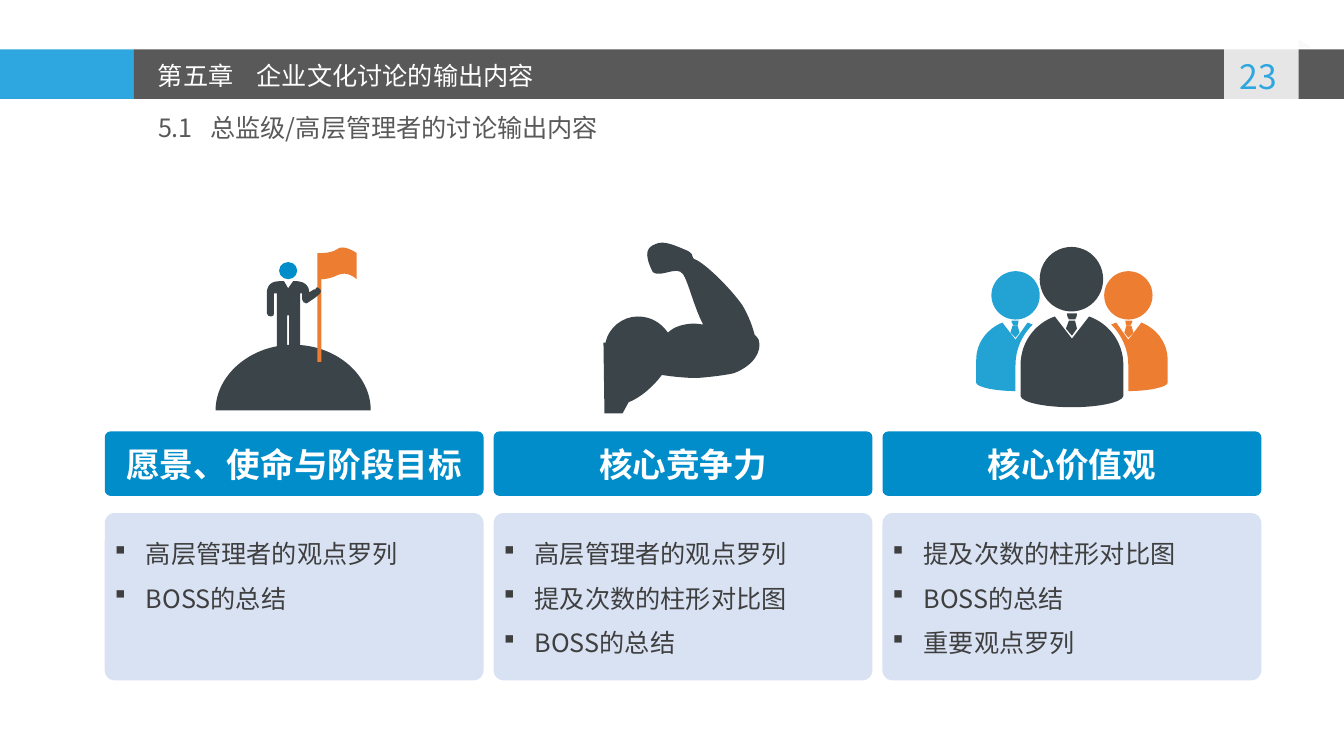
from dataclasses import dataclass

from lxml.etree import SubElement
from pptx import Presentation
from pptx.dml.color import RGBColor
from pptx.enum.shapes import MSO_SHAPE
from pptx.enum.text import MSO_ANCHOR, PP_ALIGN
from pptx.oxml.ns import qn
from pptx.util import Pt

PX = 9144


@dataclass(frozen=True)
class Theme:
    """Colours, font and type sizes of the slide."""
    font: str = "Noto Sans CJK SC"
    sky: str = "2EA7E0"
    blue: str = "008DCA"
    cyan: str = "23A3D4"
    orange: str = "ED7D31"
    slate: str = "3B4449"
    gray: str = "595959"
    ink: str = "3F3F3F"
    panel: str = "D8E2F3"
    mist: str = "F8F8F8"
    white: str = "FFFFFF"
    large: int = 24
    normal: int = 18


THEME = Theme()

HILL = [(77, 100), (35, 100, 0, 130, 0, 165), (154, 165), (154, 130, 120, 100, 77, 100)]
FLAG = [(121, 5), (114, 10, 101, 9, 101, 9), (101, 117), (105, 117), (105, 35),
        (109, 35, 115, 34, 121, 31), (131, 26, 140, 35, 140, 35), (140, 9),
        (140, 9, 127, 0, 121, 5)]
CLIMBER = [(104, 45), (103, 44, 103, 44, 101, 43), (100, 43, 100, 44, 99, 45), (98, 45),
           (93, 48), (93, 47), (92, 37, 81, 37, 81, 37), (77, 37), (72, 44), (68, 37),
           (63, 37), (51, 37, 51, 47, 51, 47), (51, 69), (51, 71, 53, 72, 55, 72),
           (57, 72, 58, 71, 58, 69), (58, 49), (61, 49), (61, 112),
           (61, 115, 63, 117, 66, 117), (69, 117, 71, 115, 71, 112), (71, 71), (73, 71),
           (73, 112), (73, 115, 76, 117, 78, 117), (81, 117, 84, 115, 84, 112), (84, 49),
           (86, 49), (86, 55), (86, 57, 88, 59, 90, 59), (90, 59, 91, 59, 92, 58),
           (98, 54), (103, 50), (105, 49, 105, 46, 104, 45)]
ARM = [(154, 99), (153, 97, 152, 96, 150, 94), (148, 86, 144, 75, 138, 65),
       (127, 49, 100, 22, 90, 19), (90, 18, 90, 18, 89, 18), (89, 15, 87, 13, 84, 11),
       (72, 6, 60, 0, 52, 4), (44, 7, 39, 12, 49, 32), (57, 38, 73, 25, 79, 34),
       (84, 41, 90, 67, 99, 84), (96, 84, 94, 83, 91, 83), (80, 83, 70, 86, 64, 92),
       (57, 82, 47, 76, 34, 76), (19, 76, 5, 87, 2, 102), (0, 102), (1, 172), (19, 172),
       (25, 161), (36, 157, 49, 146, 58, 134), (70, 136, 85, 137, 91, 137),
       (98, 137, 124, 134, 130, 132), (148, 125, 158, 111, 154, 99)]
LEADER = [
    [(112, 69), (95, 91), (78, 69), (58, 76, 44, 95, 44, 117), (44, 148),
     (45, 154, 67, 159, 95, 159), (122, 159, 145, 154, 146, 148), (146, 117),
     (146, 95, 132, 76, 112, 69)],
    [(100, 66), (90, 66), (90, 66, 90, 69, 92, 72), (98, 72), (98, 72, 100, 70, 100, 66)],
    [(92, 73), (98, 73), (100, 81), (95, 88), (89, 81)],
]
COLLEAGUE = [
    [(51, 75), (39, 92), (26, 75), (11, 81, 0, 95, 0, 112), (0, 135),
     (1, 139, 18, 143, 39, 143), (39, 117), (39, 102, 45, 88, 56, 77),
     (54, 76, 53, 76, 51, 75)],
    [(41, 78), (41, 78, 42, 76, 42, 73), (35, 73), (35, 73, 35, 76, 37, 78)],
    [(39, 90), (43, 85), (41, 78), (36, 78), (34, 85)],
]
PEOPLE_WIDTH = 190


def paint(shape, color, opacity=100):
    """Give a shape a plain fill without line or shadow."""
    shape.shadow.inherit = False
    shape.fill.solid()
    shape.fill.fore_color.rgb = RGBColor.from_string(color)
    shape.line.fill.background()
    if opacity < 100:
        color_element = shape.fill._xPr.find(qn("a:solidFill"))[0]
        SubElement(color_element, qn("a:alpha"), val=str(opacity * 1000))
    return shape


def add_block(parent, kind, left, top, width, height, color, opacity=100):
    """Add a filled preset shape to a slide or group."""
    shape = parent.shapes.add_shape(kind, left * PX, top * PX, width * PX, height * PX)
    return paint(shape, color, opacity)


def add_outline(parent, left, top, outline, color, mirror=0, opacity=100):
    """Add a filled freeform of lines and cubic curves, flipped within any mirror width."""
    def place(x, y):
        return (left + (mirror - x if mirror else x)) * PX, (top + y) * PX

    ends = [place(*segment[-2:]) for segment in outline]
    builder = parent.shapes.build_freeform(*ends[0], scale=1.0)
    builder.add_line_segments(ends[1:], close=True)
    shape = builder.convert_to_shape()
    lines = list(shape._element.iter(qn("a:lnTo")))
    for line, segment in zip(lines, outline[1:]):
        if len(segment) == 6:
            line.tag = qn("a:cubicBezTo")
            for order, control in enumerate((segment[:2], segment[2:4])):
                x, y = place(*control)
                point = SubElement(line, qn("a:pt"), x=str(x - shape.left), y=str(y - shape.top))
                line.insert(order, point)
    return paint(shape, color, opacity)


def write(frame, text, size=THEME.normal, color=THEME.ink, bold=False, align=PP_ALIGN.LEFT,
          anchor=MSO_ANCHOR.TOP, bullet=None, tab=None, line_spacing=None, space_before=0):
    """Write each line of text as a formatted paragraph."""
    frame.word_wrap = True
    frame.vertical_anchor = anchor
    for index, line in enumerate(text.split("\n")):
        paragraph = frame.add_paragraph() if index else frame.paragraphs[0]
        paragraph.alignment = align
        properties = paragraph._p.get_or_add_pPr()
        if bullet:
            properties.set("marL", str(31 * PX))
            properties.set("indent", str(-31 * PX))
            bullet_color = SubElement(properties, qn("a:buClr"))
            SubElement(bullet_color, qn("a:srgbClr"), val=color)
            SubElement(properties, qn("a:buFont"), typeface="Wingdings", charset="2")
            SubElement(properties, qn("a:buChar"), char=bullet)
        if tab:
            stops = SubElement(properties, qn("a:tabLst"))
            SubElement(stops, qn("a:tab"), pos=str(tab * PX), algn="l")
        if line_spacing:
            paragraph.line_spacing = line_spacing
        paragraph.space_before = Pt(space_before if index else 0)
        run = paragraph.add_run()
        run.text = line
        run.font.size = Pt(size)
        run.font.bold = bold
        run.font.color.rgb = RGBColor.from_string(color)
        run.font.name = THEME.font
        SubElement(run._r.get_or_add_rPr(), qn("a:ea"), typeface=THEME.font)


def add_label(slide, left, top, width, height, text, **style):
    """Add a text box."""
    box = slide.shapes.add_textbox(left * PX, top * PX, width * PX, height * PX)
    write(box.text_frame, text, **style)


def add_header(slide, left, top, width, height):
    """Draw the chapter band with its page tab and the section title below."""
    accent = 133
    tab_left = left + 1215
    add_block(slide, MSO_SHAPE.RECTANGLE, left, top, accent, height, THEME.sky)
    add_block(slide, MSO_SHAPE.RECTANGLE, left + accent, top, width - accent, height, THEME.gray)
    add_block(slide, MSO_SHAPE.RIGHT_TRIANGLE, tab_left + 74, top - 10, 12, 8, THEME.mist, 83)
    page_tab = [(0, 69), (0, 0), (74, 0), (74, 69), (36, 63)]
    add_outline(slide, tab_left, top - 9, page_tab, THEME.white, opacity=85)
    add_label(slide, tab_left - 3, top + 2, 74, 99, "23", size=THEME.large, color=THEME.sky,
              align=PP_ALIGN.CENTER)
    add_label(slide, left + 147, top + 6, 504, 40, "第五章\t企业文化讨论的输出内容",
              color=THEME.white, tab=98)
    add_label(slide, left + 147, top + 58, 531, 40, "5.1\t总监级/高层管理者的讨论输出内容",
              color=THEME.gray, tab=52)


def add_summit_icon(slide, left, top):
    """Draw a climber with a flag on a hill."""
    group = slide.shapes.add_group_shape()
    for outline, color in ((HILL, THEME.slate), (FLAG, THEME.orange), (CLIMBER, THEME.slate)):
        add_outline(group, left, top, outline, color)
    add_block(group, MSO_SHAPE.OVAL, left + 63, top + 18, 18, 17, THEME.blue)


def add_arm_icon(slide, left, top):
    """Draw a flexed arm."""
    add_outline(slide, left, top, ARM, THEME.slate)


def add_people_icon(slide, left, top):
    """Draw a leader between two mirrored colleagues."""
    group = slide.shapes.add_group_shape()
    people = [(LEADER, (63, 0, 63, 64), THEME.slate, 0),
              (COLLEAGUE, (15, 24, 48, 48), THEME.cyan, 0),
              (COLLEAGUE, (15, 24, 48, 48), THEME.orange, PEOPLE_WIDTH)]
    for outlines, (x, y, width, height), color, mirror in people:
        head_x = mirror - x - width if mirror else x
        add_block(group, MSO_SHAPE.OVAL, left + head_x, top + y, width, height, color)
        for outline in outlines:
            add_outline(group, left, top, outline, color, mirror)


def add_column(slide, left, top, width, heading, points, add_icon, icon_x, icon_y):
    """Draw an icon, its heading and the panel of points."""
    add_icon(slide, left + icon_x, top + icon_y)
    title = add_block(slide, MSO_SHAPE.ROUNDED_RECTANGLE, left, top + 190, width, 64, THEME.blue)
    title.adjustments[0] = 0.09
    write(title.text_frame, heading, size=THEME.large, color=THEME.white, bold=True,
          align=PP_ALIGN.CENTER, anchor=MSO_ANCHOR.MIDDLE)
    panel = add_block(slide, MSO_SHAPE.ROUNDED_RECTANGLE, left, top + 271, width, 166, THEME.panel)
    panel.adjustments[0] = 0.06
    add_label(slide, left, top + 285, width, 3 + 44 * len(points), "\n".join(points),
              bullet="§", line_spacing=1.2, space_before=6)


def main():
    """Build and save the slide."""
    presentation = Presentation()
    presentation.slide_width, presentation.slide_height = 1334 * PX, 750 * PX
    slide = presentation.slides.add_slide(presentation.slide_layouts[6])
    add_header(slide, 0, 49, 1334, 49)
    views, counts, summary = "高层管理者的观点罗列", "提及次数的柱形对比图", "BOSS的总结"
    columns = [
        ("愿景、使命与阶段目标", [views, summary], add_summit_icon, 110, 4),
        ("核心竞争力", [views, counts, summary], add_arm_icon, 109, 0),
        ("核心价值观", [counts, summary, "重要观点罗列"], add_people_icon, 93, 7),
    ]
    width, pitch = 376, 386
    for index, column in enumerate(columns):
        add_column(slide, 104 + index * pitch, 238, width, *column)
    presentation.save("out.pptx")


if __name__ == "__main__":
    main()
